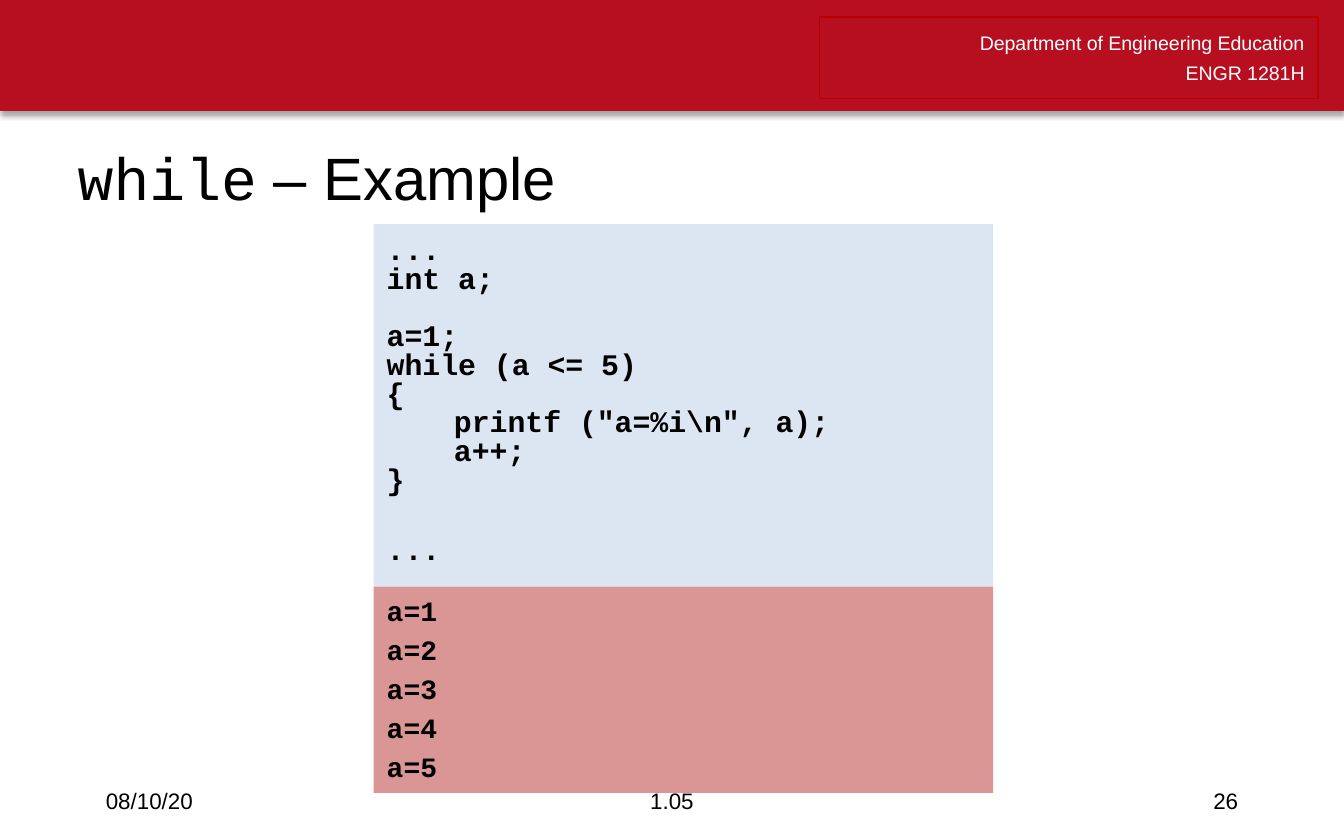
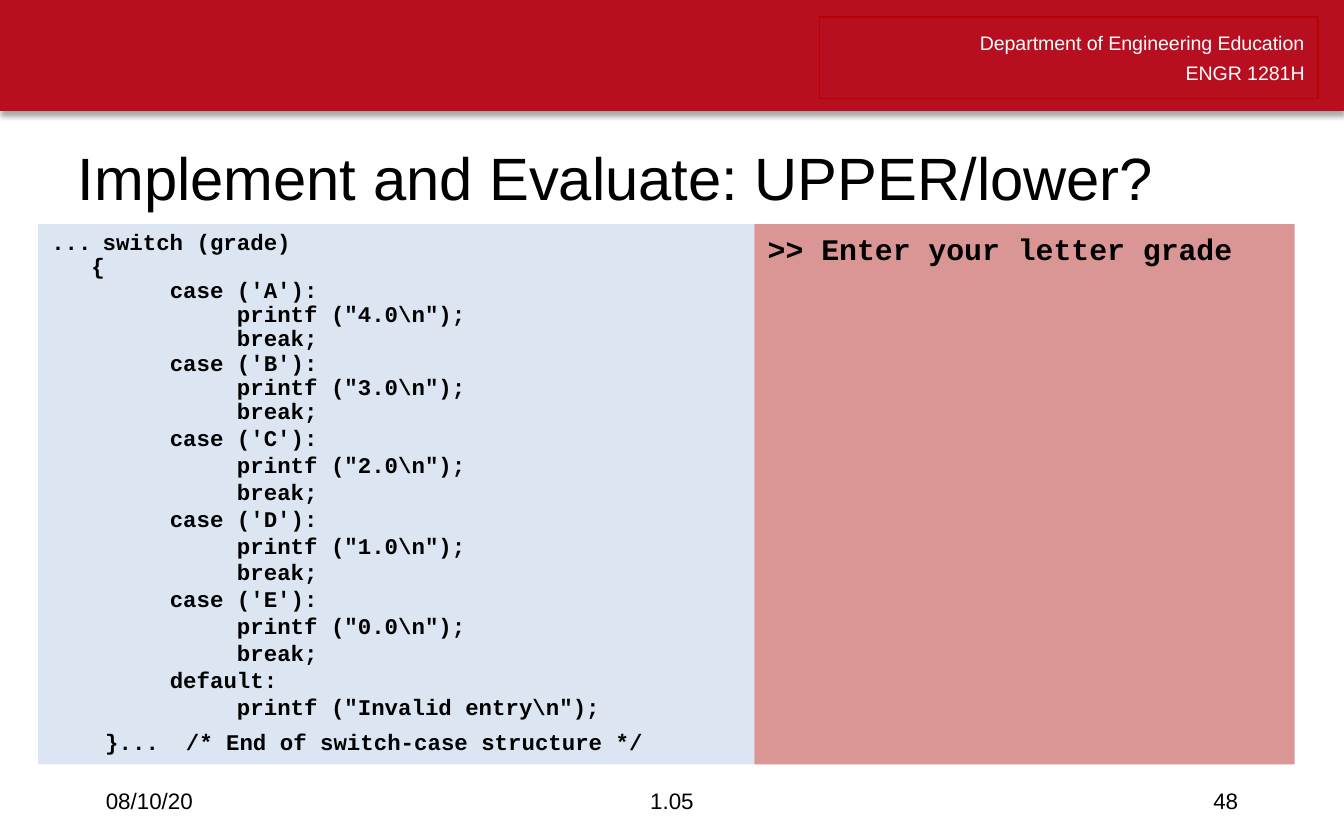
from dataclasses import dataclass

from lxml import etree
from pptx import Presentation
from pptx import util as u
from pptx.dml.color import RGBColor
from pptx.enum import shapes, text
from pptx.oxml.ns import qn


@dataclass(frozen=True)
class Theme:
    band: str = "B70F20"
    frame: str = "BB0000"
    code: str = "DCE6F2"
    output: str = "D99694"
    ink: str = "000000"
    paper: str = "FFFFFF"
    sans: str = "Arial"
    mono: str = "Courier New"
    title_size: float = 32
    code_size: float = 16
    output_size: float = 15
    small_size: float = 12
    header_size: float = 10.5


@dataclass
class Line:
    """One paragraph; indent and hanging in cm, before in points."""
    content: str
    indent: float = 0
    hanging: float = 0
    before: float = 0
    spacing: float | None = None


THEME = Theme()
LEFT, CENTER, RIGHT = text.PP_ALIGN.LEFT, text.PP_ALIGN.CENTER, text.PP_ALIGN.RIGHT

# Content shared by the slides
HEADER = ["Department of Engineering Education", "ENGR 1281H"]
DATE, LESSON = "08/10/20", "1.05"

# Content of the while example
STEP = 1.27
BLANK = 15.3
WHILE_CODE = [
    Line("...", before=3.2),
    Line("int a;", spacing=0.8),
    Line("a=1;", spacing=0.8, before=BLANK),
    Line("while (a <= 5)", spacing=0.8),
    Line("{", spacing=0.8),
    Line('printf ("a=%i\\n", a);', indent=STEP, spacing=0.8),
    Line("a++;", indent=STEP, spacing=0.8),
    Line("}", spacing=0.8),
    Line("...", before=BLANK + 3.2),
]
WHILE_OUTPUT = [Line(f"a={value}", before=3) for value in range(1, 6)]

# Content of the switch example
HANG = 0.97
CASE_INDENT = HANG + STEP
BODY_INDENT = CASE_INDENT + STEP
GRADES = [("A", "4.0", 0.9), ("B", "3.0", 0.9), ("C", "2.0", None),
          ("D", "1.0", None), ("E", "0.0", None)]
SWITCH_CODE = [
    Line("...\tswitch (grade)", indent=HANG, hanging=HANG, spacing=0.9),
    Line("{", indent=0.76, spacing=0.9),
]
for grade, points, spacing in GRADES:
    SWITCH_CODE += [
        Line(f"case ('{grade}'):", indent=CASE_INDENT, spacing=spacing),
        Line(f'printf ("{points}\\n");', indent=BODY_INDENT, spacing=spacing),
        Line("break;", indent=BODY_INDENT, spacing=spacing),
    ]
SWITCH_CODE += [
    Line("default:", indent=CASE_INDENT),
    Line('printf ("Invalid entry\\n");', indent=BODY_INDENT),
    Line("}...  /* End of switch-case structure */", indent=1.02, before=4.3),
]
SWITCH_OUTPUT = [Line(">> Enter your letter grade", before=3.2)]

# Each panel: left, top, width, height in cm, then fill, type size and lines
PANEL_TOP = 4.24
SLIDES = [
    {
        "title": [("while", THEME.mono), (" – Example", THEME.sans)],
        "number": "26",
        "panels": [
            ((7.06, PANEL_TOP, 11.71, 6.85), THEME.code, THEME.code_size, WHILE_CODE),
            ((7.06, PANEL_TOP + 6.85, 11.71, 3.9), THEME.output, THEME.output_size,
             WHILE_OUTPUT),
        ],
    },
    {
        "title": [("Implement and Evaluate: UPPER/lower?", THEME.sans)],
        "number": "48",
        "panels": [
            ((0.72, PANEL_TOP, 13.54, 10.21), THEME.code, THEME.small_size, SWITCH_CODE),
            ((0.72 + 13.54, PANEL_TOP, 10.21, 10.21), THEME.output, THEME.code_size,
             SWITCH_OUTPUT),
        ],
    },
]


def color(value):
    return RGBColor.from_string(value)


def write(shape, lines, *, size, font=THEME.sans, ink=THEME.ink, bold=False,
          align=LEFT, anchor=text.MSO_ANCHOR.TOP):
    """Fill a shape with lines; a line's content is text or (text, font) pairs."""
    frame = shape.text_frame
    frame.word_wrap = True
    frame.vertical_anchor = anchor
    for index, line in enumerate(lines):
        paragraph = frame.add_paragraph() if index else frame.paragraphs[0]
        paragraph.alignment = align
        paragraph.space_before = u.Pt(line.before)
        if line.spacing:
            paragraph.line_spacing = line.spacing
        properties = paragraph._p.get_or_add_pPr()
        properties.set("marL", str(u.Cm(line.indent)))
        properties.set("indent", str(u.Cm(-line.hanging)))
        pairs = [(line.content, font)] if isinstance(line.content, str) else line.content
        for content, face in pairs:
            run = paragraph.add_run()
            run.text = content
            run.font.name = face
            run.font.size = u.Pt(size)
            run.font.bold = bold
            run.font.color.rgb = color(ink)


def add_box(slide, box, fill=None, line=None):
    shape = slide.shapes.add_shape(shapes.MSO_SHAPE.RECTANGLE, *map(u.Cm, box))
    shape.shadow.inherit = False
    if fill:
        shape.fill.solid()
        shape.fill.fore_color.rgb = color(fill)
    else:
        shape.fill.background()
    if line:
        shape.line.color.rgb = color(line)
        shape.line.width = u.Pt(0.75)
    else:
        shape.line.fill.background()
    return shape


def add_text(slide, box, lines, **style):
    shape = slide.shapes.add_textbox(*map(u.Cm, box))
    write(shape, lines, **style)


def drop_shadow(shape):
    effects = shape._element.spPr.find(qn("a:effectLst"))
    shadow = etree.SubElement(effects, qn("a:outerShdw"), blurRad=str(u.Pt(3.1)),
                              dist=str(u.Pt(1.8)), dir="5400000", rotWithShape="0")
    tint = etree.SubElement(shadow, qn("a:srgbClr"), val=THEME.ink)
    etree.SubElement(tint, qn("a:alpha"), val="35000")


def add_header(slide):
    drop_shadow(add_box(slide, (0, 0, 25.4, 2.1), fill=THEME.band))
    department = add_box(slide, (15.49, 0.32, 9.42, 1.55), line=THEME.frame)
    write(department, [Line(content, spacing=u.Pt(16.4)) for content in HEADER],
          size=THEME.header_size, ink=THEME.paper, align=RIGHT)


def add_footer(slide, number):
    for left, width, content, align in [(1.75, 5.72, DATE, LEFT),
                                        (8.41, 8.58, LESSON, CENTER),
                                        (17.93, 5.72, number, RIGHT)]:
        add_text(slide, (left, 14.71, width, 0.84), [Line(content)],
                 size=THEME.small_size, align=align, anchor=text.MSO_ANCHOR.MIDDLE)


presentation = Presentation()
presentation.slide_width = u.Cm(25.4)
presentation.slide_height = u.Cm(15.88)

for content in SLIDES:
    slide = presentation.slides.add_slide(presentation.slide_layouts[6])
    add_header(slide)
    add_text(slide, (1.22, 2.44, 23.04, 1.8), [Line(content["title"])],
             size=THEME.title_size, anchor=text.MSO_ANCHOR.MIDDLE)
    # Code and its output
    for box, fill, size, lines in content["panels"]:
        write(add_box(slide, box, fill=fill), lines,
              size=size, font=THEME.mono, bold=True)
    add_footer(slide, content["number"])

presentation.save("out.pptx")
